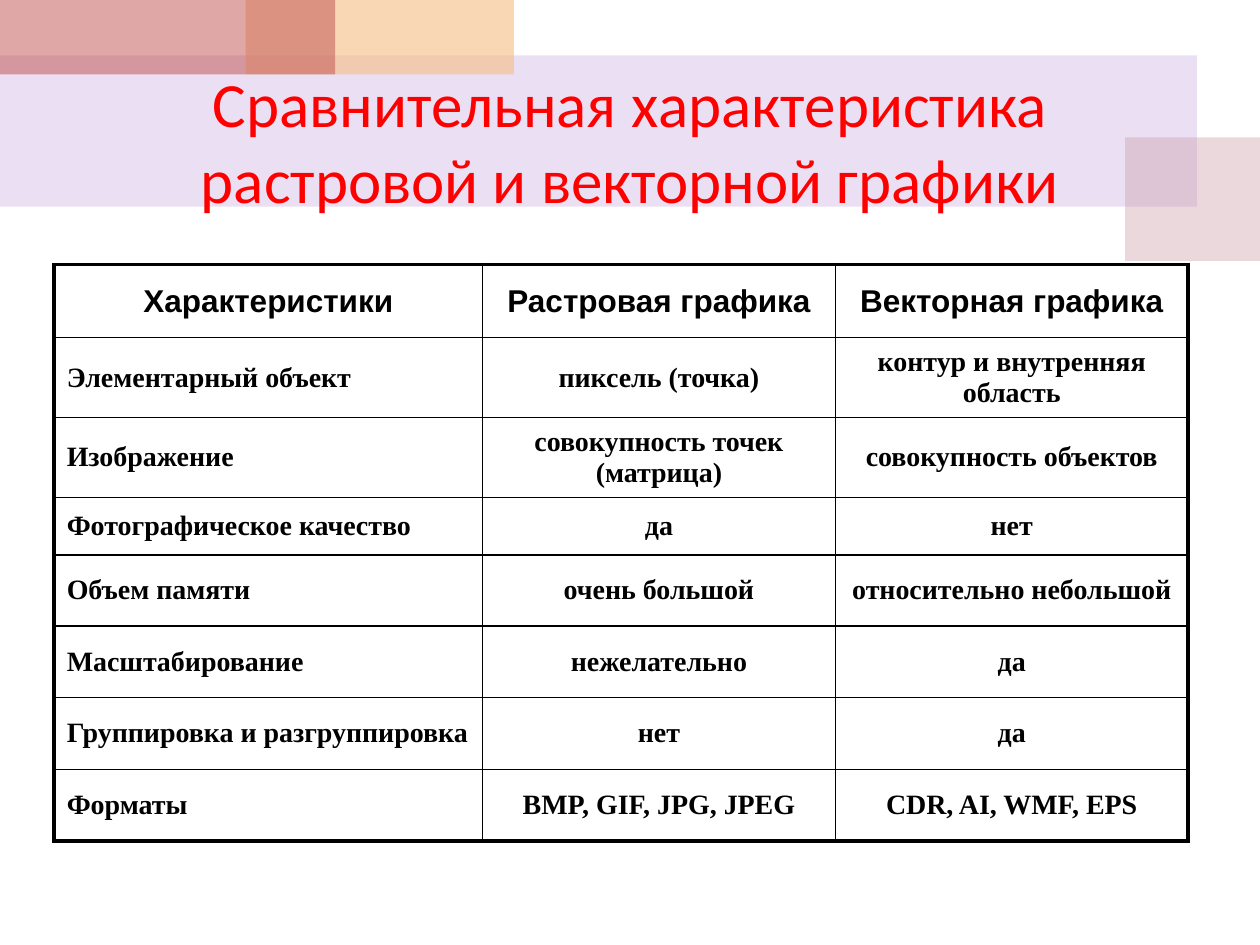
from lxml import etree
from pptx import Presentation
from pptx import util as u
from pptx.dml.color import RGBColor
from pptx.enum import shapes, text
from pptx.oxml.ns import qn

BLACK = RGBColor(0x00, 0x00, 0x00)
RED = RGBColor(0xFF, 0x00, 0x00)
LILAC = RGBColor(0xBF, 0x98, 0xD8)
ROSE = RGBColor(0xCC, 0x9E, 0xAC)
ORANGE = RGBColor(0xF5, 0xBC, 0x83)
BRICK = RGBColor(0xC0, 0x50, 0x4D)

# Content
TITLE = "Сравнительная характеристика растровой и векторной графики"
ROWS = [
    ("Характеристики", "Растровая графика", "Векторная графика"),
    ("Элементарный объект", "пиксель (точка)", "контур и внутренняя область"),
    ("Изображение", "совокупность точек (матрица)", "совокупность объектов"),
    ("Фотографическое качество", "да", "нет"),
    ("Объем памяти", "очень большой", "относительно небольшой"),
    ("Масштабирование", "нежелательно", "да"),
    ("Группировка и разгруппировка", "нет", "да"),
    ("Форматы", "BMP, GIF, JPG, JPEG", "CDR, AI, WMF, EPS"),
]
COLUMN_WIDTHS = [3.4, 2.8, 2.8]
ROW_HEIGHTS = [0.58, 0.63, 0.63, 0.46, 0.56, 0.57, 0.57, 0.57]
TABLE_LEFT, TABLE_TOP = 0.43, 2.1
OUTER_LINE, INNER_LINE = 2.25, 1

# Left, top, width, height, colour, opacity in percent
BLOCKS = [
    (0, 0.44, 9.5, 1.2, LILAC, 30),
    (8.93, 1.09, 1.07, 0.98, ROSE, 40),
    (1.95, 0, 2.13, 0.59, ORANGE, 60),
    (0, 0, 2.66, 0.59, BRICK, 50),
]


def write_text(frame, content, font="Times New Roman", size=16, color=BLACK,
               bold=False, align=text.PP_ALIGN.CENTER):
    frame.word_wrap = True
    paragraph = frame.paragraphs[0]
    paragraph.alignment = align
    run = paragraph.add_run()
    run.text = content
    run.font.name = font
    run.font.size = u.Pt(size)
    run.font.bold = bold
    run.font.color.rgb = color


def add_block(slide, left, top, width, height, color, opacity):
    shape = slide.shapes.add_shape(
        shapes.MSO_SHAPE.RECTANGLE,
        u.Inches(left), u.Inches(top), u.Inches(width), u.Inches(height))
    shape.shadow.inherit = False
    shape.line.fill.background()
    shape.fill.solid()
    shape.fill.fore_color.rgb = color
    rgb = shape.fill._xPr.find(".//" + qn("a:srgbClr"))
    etree.SubElement(rgb, qn("a:alpha"), val=str(opacity * 1000))


def set_borders(cell, widths):
    """Draw borders given as points for left, right, top and bottom."""
    properties = cell._tc.get_or_add_tcPr()
    for index, (side, width) in enumerate(zip("LRTB", widths)):
        line = etree.Element(qn("a:ln" + side), w=str(u.Pt(width)))
        fill = etree.SubElement(line, qn("a:solidFill"))
        etree.SubElement(fill, qn("a:srgbClr"), val=str(BLACK))
        properties.insert(index, line)


def add_comparison(slide):
    table = slide.shapes.add_table(
        len(ROWS), len(COLUMN_WIDTHS), u.Inches(TABLE_LEFT), u.Inches(TABLE_TOP),
        u.Inches(sum(COLUMN_WIDTHS)), u.Inches(sum(ROW_HEIGHTS))).table
    table.first_row = table.horz_banding = False
    for column, width in zip(table.columns, COLUMN_WIDTHS):
        column.width = u.Inches(width)
    for row, height in zip(table.rows, ROW_HEIGHTS):
        row.height = u.Inches(height)

    last_row, last_column = len(ROWS) - 1, len(COLUMN_WIDTHS) - 1
    for r, values in enumerate(ROWS):
        for c, value in enumerate(values):
            cell = table.cell(r, c)
            cell.vertical_anchor = text.MSO_ANCHOR.MIDDLE
            cell.fill.background()
            outer = (c == 0, c == last_column, r == 0, r == last_row)
            set_borders(cell, [OUTER_LINE if edge else INNER_LINE for edge in outer])
            if r == 0:
                style = {"font": "Arial", "size": 18}
            elif c == 0:
                style = {"align": text.PP_ALIGN.LEFT}
            else:
                style = {}
            write_text(cell.text_frame, value, bold=True, **style)


def main():
    presentation = Presentation()
    presentation.slide_width = u.Inches(10)
    presentation.slide_height = u.Inches(7.5)
    slide = presentation.slides.add_slide(presentation.slide_layouts[6])

    # Decorative background blocks
    for block in BLOCKS:
        add_block(slide, *block)

    # Title
    title = slide.shapes.add_textbox(
        u.Inches(0.5), u.Inches(0.59), u.Inches(9), u.Inches(1.05))
    title.text_frame.vertical_anchor = text.MSO_ANCHOR.MIDDLE
    write_text(title.text_frame, TITLE, font="Calibri", size=36, color=RED)

    # Comparison table
    add_comparison(slide)

    presentation.save("out.pptx")


if __name__ == "__main__":
    main()
